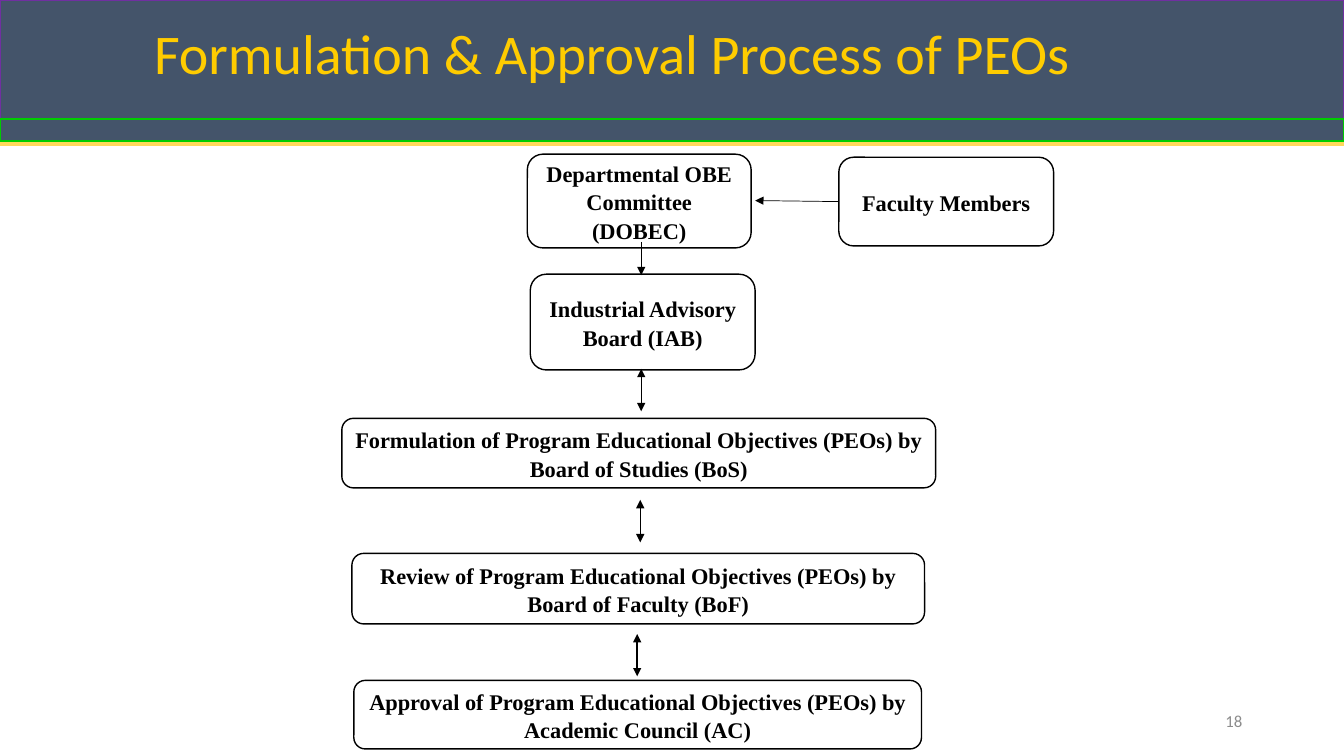
from lxml.etree import SubElement
from pptx import Presentation
from pptx.dml.color import RGBColor
from pptx.enum.shapes import MSO_CONNECTOR as Link, MSO_SHAPE as Shape
from pptx.enum.text import MSO_ANCHOR as Anchor, PP_ALIGN as Align
from pptx.oxml.ns import qn
from pptx.util import Pt

PX = 9144  # 100 px to the inch
WIDE, HIGH = 1333, 750

SLATE = RGBColor(0x44, 0x54, 0x6A)
PURPLE = RGBColor(0x70, 0x30, 0xA0)
GREEN = RGBColor(0x00, 0xCC, 0x00)
YELLOW = RGBColor(0xFF, 0xD8, 0x5B)
GOLD = RGBColor(0xFF, 0xCC, 0x00)
GREY = RGBColor(0x8C, 0x8C, 0x8C)
BLACK = RGBColor(0, 0, 0)
WHITE = RGBColor(255, 255, 255)

# Text, then left, top, width, height
STEPS = [
    ("Departmental OBE Committee (DOBEC)", 523, 153, 222, 93),
    ("Faculty Members", 832, 156, 213, 88),
    ("Industrial Advisory Board (IAB)", 526, 272, 223, 95),
    ("Formulation of Program Educational Objectives (PEOs) "
     "by Board of Studies (BoS)", 339, 415, 589, 69),
    ("Review of Program Educational Objectives (PEOs) by "
     "Board of Faculty (BoF)", 349, 549, 568, 70),
    ("Approval of Program Educational Objectives (PEOs) by "
     "Academic Council (AC)", 351, 675, 563, 68),
]

# Start x, y, end x, y, line width, arrow at both ends
ARROWS = [
    (832, 200, 749, 199, 0.5, False),
    (636, 240, 636, 273, 0.5, False),
    (636, 366, 636, 408, 0.5, True),
    (635, 496, 635, 538, 0.5, True),
    (632, 629, 632, 671, 1, True),
]


def scale(*sizes):
    return [size * PX for size in sizes]


def add_block(slide, kind, place, fill, edge):
    block = slide.shapes.add_shape(kind, *scale(*place))
    block.shadow.inherit = False
    block.fill.solid()
    block.fill.fore_color.rgb = fill
    block.line.color.rgb = edge
    block.line.width = Pt(1)
    return block


def add_line(slide, ends, color, width, tips=()):
    line = slide.shapes.add_connector(Link.STRAIGHT, *scale(*ends))
    line.line.color.rgb = color
    line.line.width = Pt(width)
    for tip in tips:
        SubElement(line.line._get_or_add_ln(), qn(tip), type="triangle")
    SubElement(line._element.spPr, qn("a:effectLst"))


def set_text(shape, text, face, size, color, align, bold=False):
    frame = shape.text_frame
    frame.word_wrap = True
    frame.vertical_anchor = Anchor.MIDDLE
    frame.text = text
    para = frame.paragraphs[0]
    para.alignment = align
    font = para.font
    font.name, font.size, font.bold = face, Pt(size), bold
    font.color.rgb = color
    return para


def add_label(slide, place, text, size, color, align):
    box = slide.shapes.add_textbox(*scale(*place))
    return set_text(box, text, "Calibri", size, color, align)


def add_step(slide, text, *place):
    box = add_block(slide, Shape.ROUNDED_RECTANGLE, place, WHITE, BLACK)
    para = set_text(box, text, "Times New Roman", 16, BLACK,
                    Align.CENTER, bold=True)
    para.line_spacing = 1.07
    para.space_after = Pt(8)


def main():
    deck = Presentation()
    deck.slide_width, deck.slide_height = scale(WIDE, HIGH)
    slide = deck.slides.add_slide(deck.slide_layouts[6])

    # Title band
    add_line(slide, (0, 142, WIDE, 142), YELLOW, 3.75)
    add_block(slide, Shape.RECTANGLE, (0, 0, WIDE, 120), SLATE, PURPLE)
    add_block(slide, Shape.RECTANGLE, (0, 118, WIDE, 22), SLATE, GREEN)
    title = add_label(slide, (143, 3, 1073, 106),
                      "Formulation & Approval Process of PEOs",
                      40, GOLD, Align.LEFT)
    title.line_spacing = 0.9

    # Flow chart
    for step in STEPS:
        add_step(slide, *step)
    for *ends, width, both in ARROWS:
        tips = ("a:headEnd", "a:tailEnd") if both else ("a:tailEnd",)
        add_line(slide, ends, BLACK, width, tips)

    # Page number
    add_label(slide, (942, 695, 300, 40), "18", 12, GREY, Align.RIGHT)

    deck.save("out.pptx")


if __name__ == "__main__":
    main()
